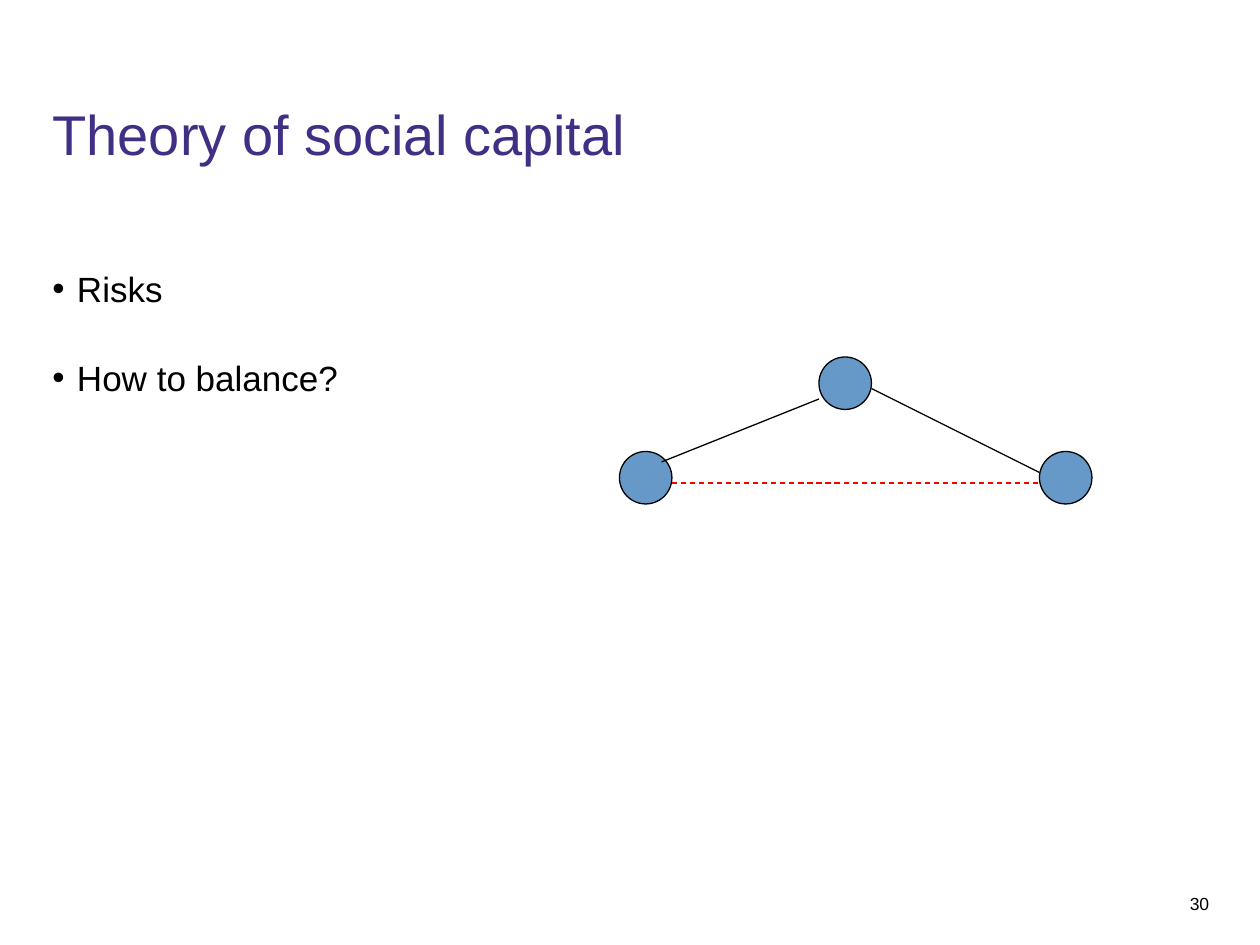
import pptx
import pptx.dml.color
import pptx.enum.dml
import pptx.enum.shapes
import pptx.enum.text
import pptx.oxml.ns
import pptx.util
from pptx.util import Pt

RGBColor = pptx.dml.color.RGBColor
Align = pptx.enum.text.PP_ALIGN

# Content
TITLE = "Theory of social capital"
BULLETS = ["Risks", "How to balance?"]
SLIDE_NUMBER = "30"

# Style
FONT = "Arial"
PURPLE = RGBColor(0x41, 0x2F, 0x86)
BLUE = RGBColor(0x67, 0x99, 0xC8)
BLACK = RGBColor(0, 0, 0)
RED = RGBColor(0xFF, 0, 0)
LINE_WIDTH = 0.75

# Network diagram, in points
NODE_SIZE = 30
NODES = [(354, 258), (468, 204), (594, 258)]
TIES = [  # start, end, colour, dashed
    ((378, 264), (468, 228), BLACK, False),
    ((498, 222), (594, 270), BLACK, False),
    ((384, 276), (594, 276), RED, True),
]


def place(shape, left, top, width, height):
    shape.left, shape.top = Pt(left), Pt(top)
    shape.width, shape.height = Pt(width), Pt(height)


def format_text(shape, size, color, alignment=Align.LEFT, top_inset=0):
    frame = shape.text_frame
    frame.word_wrap = True
    frame.auto_size = pptx.enum.text.MSO_AUTO_SIZE.NONE
    frame.vertical_anchor = pptx.enum.text.MSO_ANCHOR.TOP
    frame.margin_left = frame.margin_right = frame.margin_bottom = 0
    frame.margin_top = Pt(top_inset)
    for paragraph in frame.paragraphs:
        paragraph.alignment = alignment
        paragraph.space_before = Pt(0)
        for run in paragraph.runs:
            run.font.name = FONT
            run.font.size = Pt(size)
            run.font.color.rgb = color


presentation = pptx.Presentation()
presentation.slide_width, presentation.slide_height = Pt(720), Pt(540)
slide = presentation.slides.add_slide(presentation.slide_layouts[1])

# Title
title = slide.shapes.title
place(title, 30, 54, 658, 72)
title.text_frame.text = TITLE
format_text(title, 32, PURPLE, top_inset=3)

# Bullet list
body = slide.placeholders[1]
place(body, 30, 150, 658, 354)
body.text_frame.text = "\n".join(BULLETS)
format_text(body, 20, BLACK, top_inset=1.5)
for index, paragraph in enumerate(body.text_frame.paragraphs):
    paragraph.line_spacing = 1.05
    paragraph.space_before = Pt(26 if index else 0)
    properties = paragraph._p.get_or_add_pPr()
    properties.set("marL", str(Pt(14)))
    properties.set("indent", str(Pt(-14)))

# Slide number
number = slide.shapes.add_textbox(Pt(666), Pt(510), Pt(25), Pt(12))
number.text_frame.text = SLIDE_NUMBER
format_text(number, 10, BLACK, Align.RIGHT)

# Nodes
for left, top in NODES:
    node = slide.shapes.add_shape(
        pptx.enum.shapes.MSO_SHAPE.OVAL,
        Pt(left), Pt(top), Pt(NODE_SIZE), Pt(NODE_SIZE))
    node.shadow.inherit = False
    node.fill.solid()
    node.fill.fore_color.rgb = BLUE
    node.line.color.rgb = BLACK
    node.line.width = Pt(LINE_WIDTH)

# Ties between nodes
for start, end, color, dashed in TIES:
    tie = slide.shapes.add_connector(
        pptx.enum.shapes.MSO_CONNECTOR.STRAIGHT,
        *(Pt(value) for value in start + end))
    tie.line.color.rgb = color
    tie.line.width = Pt(LINE_WIDTH)
    if dashed:
        tie.line.dash_style = pptx.enum.dml.MSO_LINE.DASH
    tie._element.spPr.append(pptx.oxml.xmlchemy.OxmlElement("a:effectLst"))

presentation.save("out.pptx")
